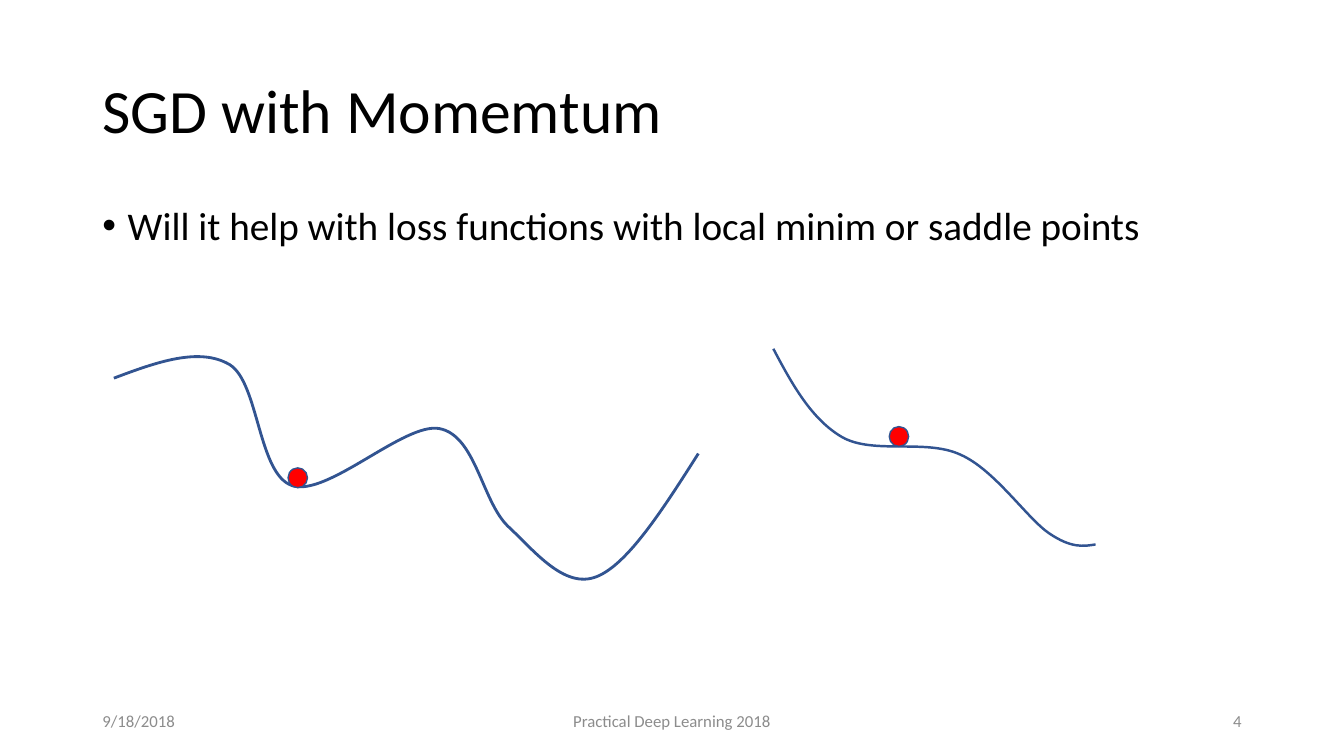
from lxml.etree import SubElement
from pptx import Presentation
from pptx.dml.color import RGBColor
from pptx.enum.shapes import MSO_SHAPE
from pptx.enum.text import MSO_ANCHOR, PP_ALIGN
from pptx.oxml.ns import qn
from pptx.util import Cm, Pt

COLORS = {"text": "000000", "footer": "8C8C8C", "curve": "325491", "ball": "FF0000"}

deck = Presentation()
deck.slide_width, deck.slide_height = Cm(33.87), Cm(19.05)
slide = deck.slides.add_slide(deck.slide_layouts[6])


def add_text(text, left, top, width, height, size, color="text",
             align=PP_ALIGN.LEFT, anchor=MSO_ANCHOR.MIDDLE,
             line_spacing=1.0, space_before=0, bullet=None):
    box = slide.shapes.add_textbox(Cm(left), Cm(top), Cm(width), Cm(height))
    frame = box.text_frame
    frame.word_wrap = True
    frame.vertical_anchor = anchor
    paragraph = frame.paragraphs[0]
    paragraph.alignment = align
    paragraph.line_spacing = line_spacing
    paragraph.space_before = Pt(space_before)
    if bullet:
        properties = paragraph._p.get_or_add_pPr()
        properties.set("marL", str(Cm(0.64)))
        properties.set("indent", str(-Cm(0.64)))
        SubElement(properties, qn("a:buFont"), typeface="Arial")
        SubElement(properties, qn("a:buChar"), char=bullet)
    run = paragraph.add_run()
    run.text = text
    run.font.name = "Calibri"
    run.font.size = Pt(size)
    run.font.color.rgb = RGBColor.from_string(COLORS[color])


def add_curve(knots, top, bottom):
    """Draw a chain of cubic Béziers whose outline spans from top to bottom."""
    start, end = knots[0], knots[-1]
    builder = slide.shapes.build_freeform(Cm(start[0]), Cm(top))
    builder.add_line_segments([(Cm(end[0]), Cm(bottom))], close=False)
    curve = builder.convert_to_shape()
    outline = curve._element.spPr.find(".//" + qn("a:path"))
    for straight in list(outline):
        outline.remove(straight)
    segments = [("a:moveTo", [start])]
    segments += [("a:cubicBezTo", knots[i:i + 3]) for i in range(1, len(knots), 3)]
    for command, points in segments:
        segment = SubElement(outline, qn(command))
        for x, y in points:
            SubElement(segment, qn("a:pt"),
                       x=str(Cm(x) - curve.left), y=str(Cm(y) - curve.top))
    curve.fill.background()
    return curve


add_text("SGD with Momemtum", 2.33, 1.02, 29.21, 3.68, 44, line_spacing=0.9)
add_text("Will it help with loss functions with local minim or saddle points",
         2.33, 5.08, 29.21, 12.09, 28, anchor=MSO_ANCHOR.TOP,
         line_spacing=0.9, space_before=10, bullet="•")

for footer, left, width, align in (
    ("9/18/2018", 2.33, 7.62, PP_ALIGN.LEFT),
    ("Practical Deep Learning 2018", 11.22, 11.43, PP_ALIGN.CENTER),
    ("4", 23.92, 7.62, PP_ALIGN.RIGHT),
):
    add_text(footer, left, 17.65, width, 1.02, 12, color="footer", align=align)

local_minimum = [
    (2.87, 9.53),
    (3.96, 9.12), (5.03, 8.74), (5.79, 9.19),
    (6.53, 9.65), (6.5, 11.96), (7.37, 12.24),
    (8.26, 12.52), (10.19, 10.64), (11.07, 10.8),
    (11.99, 10.97), (12.14, 12.62), (12.8, 13.26),
    (13.46, 13.87), (14.22, 14.86), (15.04, 14.53),
    (15.82, 14.22), (16.71, 12.83), (17.6, 11.43),
]
saddle_point = [
    (19.49, 8.79),
    (19.96, 9.68), (20.45, 10.57), (21.23, 11.02),
    (22.02, 11.46), (23.34, 11.05), (24.21, 11.46),
    (25.07, 11.84), (25.88, 13.06), (26.44, 13.44),
    (27, 13.82), (27.31, 13.77), (27.61, 13.72),
]

for knots, top, bottom, curve_width, ball_left, ball_top in (
    (local_minimum, 8.99, 14.6, 2, 7.26, 11.79),
    (saddle_point, 8.79, 13.74, 1.75, 22.41, 10.75),
):
    loss_curve = add_curve(knots, top, bottom)
    ball = slide.shapes.add_shape(
        MSO_SHAPE.OVAL, Cm(ball_left), Cm(ball_top), Cm(0.49), Cm(0.5))
    ball.fill.solid()
    ball.fill.fore_color.rgb = RGBColor.from_string(COLORS["ball"])

    for outlined, line_width in ((loss_curve, curve_width), (ball, 1)):
        outlined.shadow.inherit = False
        outlined.line.color.rgb = RGBColor.from_string(COLORS["curve"])
        outlined.line.width = Pt(line_width)

deck.save("out.pptx")
